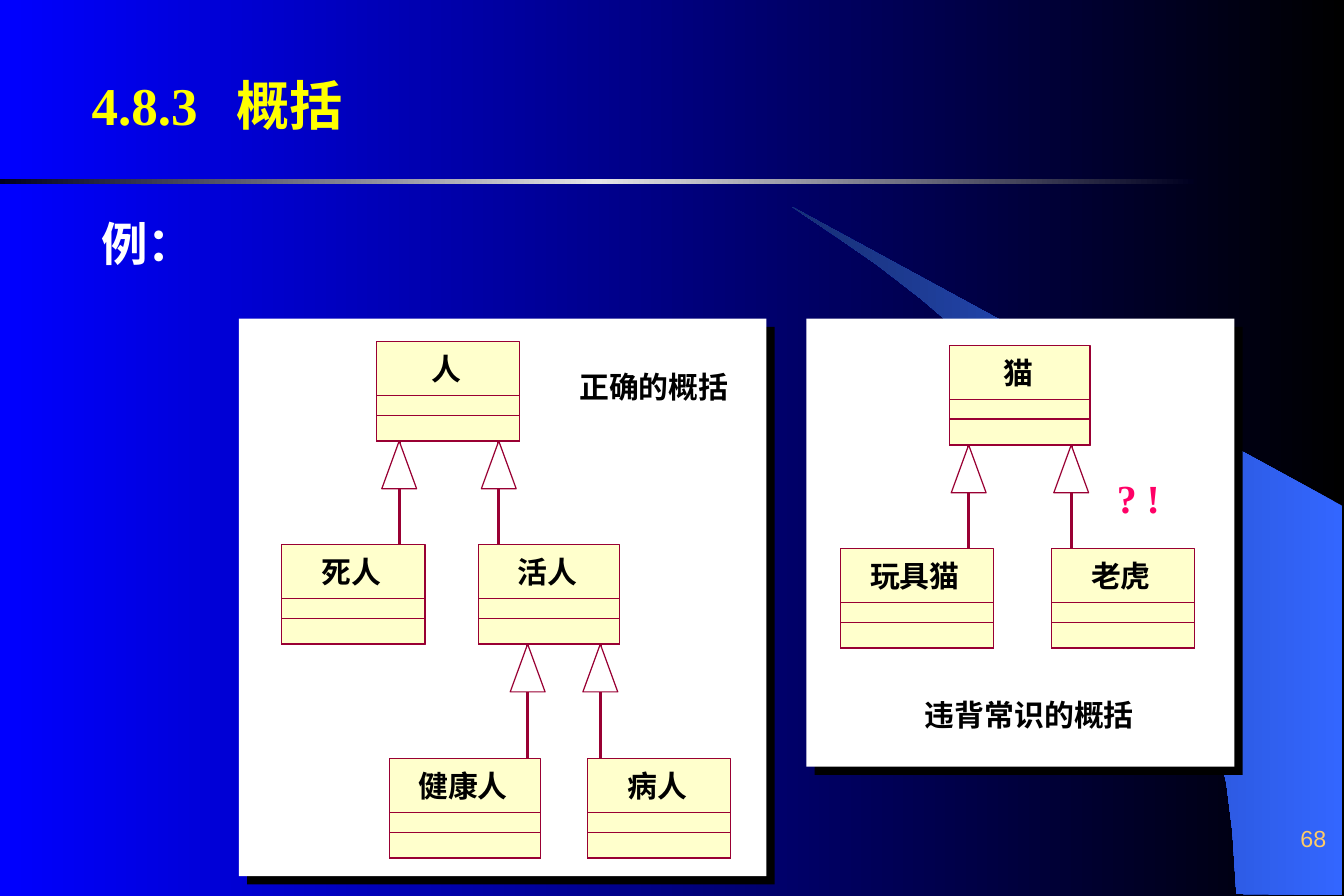
"""Build the slide on generalization, with class diagrams of a sound and an absurd case."""
from copy import deepcopy
from dataclasses import dataclass

from lxml import etree
from pptx import Presentation
from pptx.dml.color import RGBColor
from pptx.enum.shapes import MSO_CONNECTOR, MSO_SHAPE
from pptx.enum.text import MSO_ANCHOR, PP_ALIGN
from pptx.oxml.ns import qn
from pptx.util import Inches, Pt

RECT = MSO_SHAPE.RECTANGLE
STRAIGHT = MSO_CONNECTOR.STRAIGHT
TOP, MIDDLE, BOTTOM = MSO_ANCHOR.TOP, MSO_ANCHOR.MIDDLE, MSO_ANCHOR.BOTTOM
LEFT, CENTER, RIGHT = PP_ALIGN.LEFT, PP_ALIGN.CENTER, PP_ALIGN.RIGHT

COLS, ROWS = 135, 90
CELL = Inches(11.25) / COLS


@dataclass(frozen=True)
class Theme:
    """Colours, fonts and type sizes of the slide."""
    black: str = "000000"
    white: str = "FFFFFF"
    blue: str = "0000FF"
    sky: str = "3366FF"
    navy: str = "172F75"
    ink: str = "000020"
    silver: str = "E4E4E7"
    cream: str = "FFFFCC"
    wine: str = "990033"
    yellow: str = "FFFF00"
    pink: str = "FF0066"
    amber: str = "FFCC66"
    serif: str = "Times New Roman"
    sans: str = "Arial"
    title: int = 32
    lead: int = 28
    mark: int = 24
    body: int = 18
    small: int = 14


THEME = Theme()

CLASS_H = 10
SPLITS = (5.4, 7.4)
HEAD_H, HEAD_W = 4.8, 3.5
CLASSES = {
    "人": (37.8, 34.3, 14.4),
    "死人": (28.3, 54.7, 14.4),
    "活人": (48.1, 54.7, 14.1),
    "健康人": (39.1, 76.2, 15.2),
    "病人": (59, 76.2, 14.4),
    "猫": (95.4, 34.7, 14.1),
    "玩具猫": (84.4, 55.1, 15.4),
    "老虎": (105.6, 55.1, 14.4),
}
LINKS = (
    ("死人", "人", 40.1),
    ("活人", "人", 50.1),
    ("健康人", "活人", 53),
    ("病人", "活人", 60.3),
    ("玩具猫", "猫", 97.3),
    ("老虎", "猫", 107.6),
)
PANELS = ((81, 32, 43, 45), (24, 32, 53, 56))
LABELS = (
    ("例：", (9, 21, 11.6, 6.9), THEME.lead, THEME.white),
    ("正确的概括", (57, 36.4, 17.4, 4.8), THEME.body, THEME.black),
    ("违背常识的概括", (91.7, 69.4, 23.4, 4.8), THEME.body, THEME.black),
    ("? !", (111, 47, 6.7, 6), THEME.mark, THEME.pink),
)
SWOOSH = (
    (124.2, 89.8), (134.8, 89.9), (134.8, 50.8), (79.6, 20.8), (84.2, 23.9),
    (88.1, 26.6), (92.5, 30), (96.7, 33.6), (102.8, 39.6), (108.4, 46.1),
    (112.3, 51.7), (115.8, 57.5), (118.6, 63.4), (120.6, 68.6),
    (121.9, 73.1), (123.2, 78.7), (123.8, 83.5),
)


def grid(*cells):
    """Turn grid cells into slide lengths."""
    return [round(cell * CELL) for cell in cells]


def rgb(code):
    """Return the colour for a hex code."""
    return RGBColor.from_string(code)


def blend(fill, root, *codes):
    """Fill with evenly spaced colours that run from right to left."""
    fill.gradient()
    fill.gradient_angle = 180
    stops = next(root.iter(qn("a:gsLst")))
    for _ in codes[2:]:
        stops.append(deepcopy(stops[-1]))
    for i, (stop, code) in enumerate(zip(fill.gradient_stops, codes)):
        stop.position = i / (len(codes) - 1)
        stop.color.rgb = rgb(code)


def paint(shape, fill=None, line=None):
    """Give a shape a flat fill and a hairline, or neither."""
    shape.shadow.inherit = False
    if fill:
        shape.fill.solid()
        shape.fill.fore_color.rgb = rgb(fill)
    else:
        shape.fill.background()
    if line:
        shape.line.color.rgb = rgb(line)
        shape.line.width = 0
    else:
        shape.line.fill.background()


def write(frame, text, size, color, font=THEME.serif, bold=True, align=LEFT, anchor=TOP):
    """Write one styled paragraph into a text frame and return it."""
    frame.vertical_anchor = anchor
    para = frame.paragraphs[0]
    para.text = text
    para.alignment = align
    para.font.size = Pt(size)
    para.font.name = font
    para.font.bold = bold
    para.font.color.rgb = rgb(color)
    return para


def outline(slide, points):
    """Draw a closed outline through grid points."""
    first, *rest = [grid(*point) for point in points]
    pen = slide.shapes.build_freeform(*first)
    pen.add_line_segments(rest, close=True)
    return pen.convert_to_shape()


def add_decor(slide):
    """Draw the backdrop, the swoosh and the rule under the title."""
    back = slide.background.fill
    blend(back, slide.element, THEME.black, THEME.blue)
    swoosh = outline(slide, SWOOSH)
    paint(swoosh)
    blend(swoosh.fill, swoosh.element, THEME.sky, THEME.navy)
    rule = slide.shapes.add_shape(RECT, *grid(0, 18, 119.9, 0.5))
    paint(rule)
    blend(rule.fill, rule.element, THEME.ink, THEME.silver, THEME.ink)


def add_title(slide):
    """Place the title, with a tab between number and name."""
    title = slide.shapes.title
    title.left, title.top, title.width, title.height = grid(8, 3, 110, 15)
    para = title.text_frame.paragraphs[0]
    tabs = etree.SubElement(para._p.get_or_add_pPr(), qn("a:tabLst"))
    etree.SubElement(tabs, qn("a:tab"), pos=str(Inches(1.21)), algn="l")
    write(title.text_frame, "4.8.3\t概括", THEME.title, THEME.yellow, anchor=MIDDLE)


def add_panel(slide, area):
    """Draw a white panel with a hard shadow."""
    panel = slide.shapes.add_shape(RECT, *grid(*area))
    paint(panel, THEME.white)
    effects = panel.element.spPr.find(qn("a:effectLst"))
    shade = etree.SubElement(effects, qn("a:outerShdw"), blurRad="0",
                             dist=str(Pt(7.1)), dir="2700000", algn="ctr", rotWithShape="0")
    etree.SubElement(shade, qn("a:srgbClr"), val=THEME.black)


def add_class(slide, name, x, y, w):
    """Draw a class box with its name and two empty compartments."""
    for split in (0, *SPLITS):
        box = slide.shapes.add_shape(RECT, *grid(x, y + split, w, CLASS_H - split))
        paint(box, None if split else THEME.cream, THEME.wine)
        if not split:
            frame = box.text_frame
            frame.margin_left = frame.margin_bottom = 0
            frame.margin_right, frame.margin_top = grid(0.4, 0.9)
            write(frame, name, THEME.body, THEME.black, THEME.sans, align=CENTER)


def add_link(slide, child, parent, x):
    """Draw a generalization arrow from a child up to its parent."""
    tip = CLASSES[parent][1] + CLASS_H
    line = slide.shapes.add_connector(STRAIGHT, *grid(x, CLASSES[child][1], x, tip))
    line.line.color.rgb = rgb(THEME.wine)
    line.line.width = 0
    etree.SubElement(line.element.spPr, qn("a:effectLst"))
    base, half = tip + HEAD_H, HEAD_W / 2
    head = outline(slide, ((x, tip), (x + half, base), (x - half, base)))
    paint(head, THEME.white, THEME.wine)


def add_label(slide, text, area, size, color):
    """Add a one-line text box."""
    frame = slide.shapes.add_textbox(*grid(*area)).text_frame
    frame.word_wrap = False
    write(frame, text, size, color)


def add_page(slide):
    """Add the page number at the lower right."""
    frame = slide.shapes.add_textbox(*grid(106.3, 80.6, 28.1, 5)).text_frame
    frame.word_wrap = True
    frame.margin_top = frame.margin_bottom = 0
    write(frame, "68", THEME.small, THEME.amber, THEME.sans, False, RIGHT, BOTTOM)


def main():
    """Build and save the slide."""
    deck = Presentation()
    deck.slide_width, deck.slide_height = grid(COLS, ROWS)
    slide = deck.slides.add_slide(deck.slide_layouts[5])
    add_decor(slide)
    add_title(slide)
    for area in PANELS:
        add_panel(slide, area)
    for name, place in CLASSES.items():
        add_class(slide, name, *place)
    for link in LINKS:
        add_link(slide, *link)
    for label in LABELS:
        add_label(slide, *label)
    add_page(slide)
    deck.save("out.pptx")


if __name__ == "__main__":
    main()
